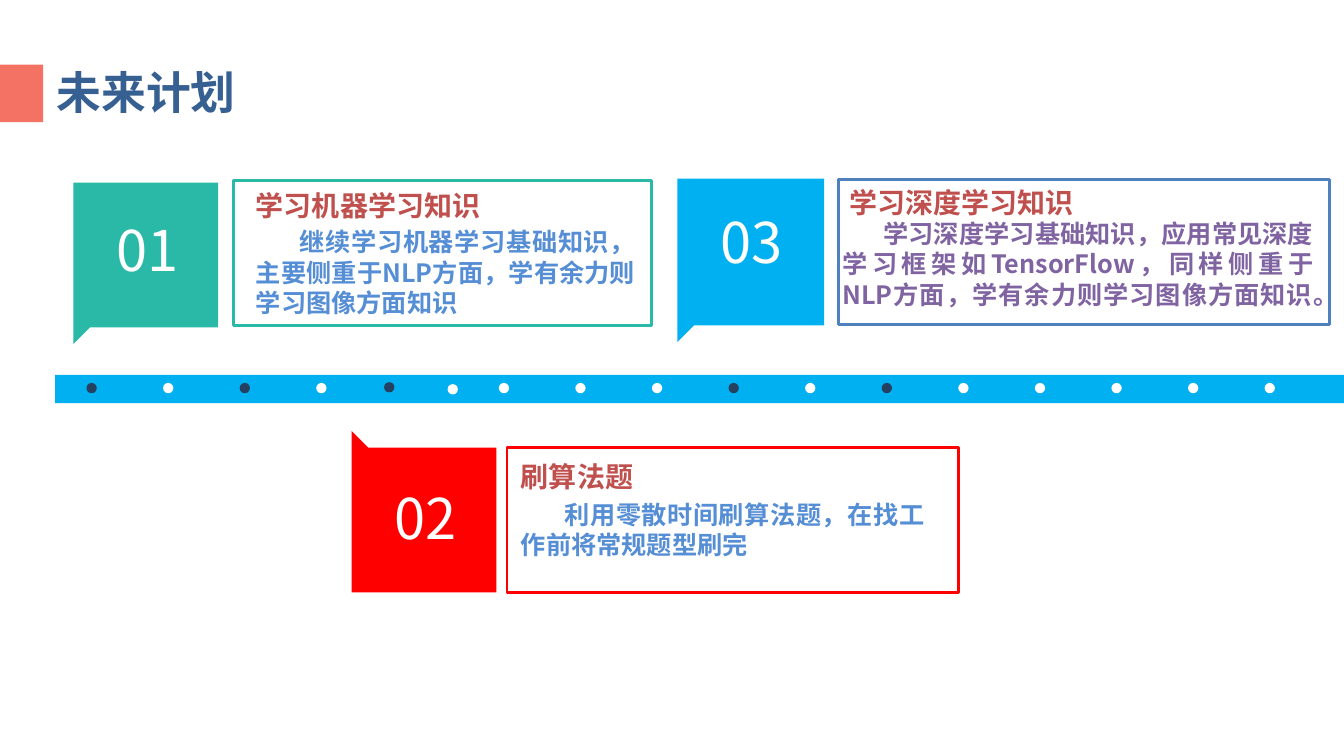
from dataclasses import dataclass

from lxml.etree import SubElement
from pptx import Presentation
from pptx.dml.color import RGBColor
from pptx.enum.shapes import MSO_SHAPE as Shape
from pptx.enum.text import MSO_ANCHOR as Anchor, PP_ALIGN as Align
from pptx.oxml.ns import qn
from pptx.shapes.autoshape import Shape as AutoShape
from pptx.shapes.shapetree import SlideShapes
from pptx.text.text import _Paragraph as Paragraph
from pptx.util import Cm, Pt

WHITE = RGBColor(0xFF, 0xFF, 0xFF)
NAVY = RGBColor(0x25, 0x40, 0x61)
TITLE_BLUE = RGBColor(0x37, 0x60, 0x92)
CORAL = RGBColor(0xF4, 0x72, 0x64)
SKY = RGBColor(0x00, 0xB0, 0xF0)
TEAL = RGBColor(0x29, 0xB9, 0xA6)
RED = RGBColor(0xFF, 0x00, 0x00)
FRAME_BLUE = RGBColor(0x4F, 0x81, 0xBD)
BRICK = RGBColor(0xC0, 0x50, 0x4D)
BODY_BLUE = RGBColor(0x55, 0x8E, 0xD5)
PURPLE = RGBColor(0x80, 0x64, 0xA2)

SC_FONT = "Noto Sans CJK SC"
JP_FONT = "Noto Sans CJK JP"
TAIL = 0.42
DOT = 0.26
DOT_TOP = 9.65
DOT_PITCH = 1.93


@dataclass(frozen=True)
class Box:
    x: float
    y: float
    w: float
    h: float

    def emu(self) -> tuple[Cm, Cm, Cm, Cm]:
        return Cm(self.x), Cm(self.y), Cm(self.w), Cm(self.h)


@dataclass(frozen=True)
class Card:
    number: str
    block: Box
    tail_up: bool
    number_top: float
    fill: RGBColor
    frame: Box
    outline: RGBColor
    heading: str
    heading_box: Box
    body: str
    body_box: Box
    body_color: RGBColor
    indent: float


@dataclass(frozen=True)
class DotRow:
    start: float
    count: int
    dark: tuple[int, ...] = ()
    top: float = DOT_TOP


CARDS = [
    Card("01", Box(1.85, 4.6, 3.65, 3.65), False, 5.44, TEAL,
         Box(5.89, 4.55, 10.54, 3.66), TEAL,
         "学习机器学习知识", Box(6.2, 4.62, 9.45, 1.12),
         "继续学习机器学习基础知识，主要侧重于NLP方面，学有余力则学习图像方面知识",
         Box(6.2, 5.59, 10.06, 2.57), BODY_BLUE, 1.1),
    Card("03", Box(17.07, 4.5, 3.7, 3.7), False, 5.23, SKY,
         Box(21.13, 4.52, 12.37, 3.66), FRAME_BLUE,
         "学习深度学习知识", Box(21.16, 4.55, 8.94, 1.12),
         "学习深度学习基础知识，应用常见深度学习框架如TensorFlow，"
         "同样侧重于NLP方面，学有余力则学习图像方面知识。",
         Box(20.98, 5.38, 12.37, 2.57), PURPLE, 1.03),
    Card("02", Box(8.86, 11.28, 3.65, 3.65), True, 12.19, RED,
         Box(12.78, 11.28, 11.38, 3.66), RED,
         "刷算法题", Box(12.88, 11.46, 8.23, 1.12),
         "利用零散时间刷算法题，在找工作前将常规题型刷完",
         Box(12.88, 12.45, 10.67, 1.8), BODY_BLUE, 1.1),
]

DOT_ROWS = [
    DotRow(2.18, 4, (0, 2)),
    DotRow(9.68, 1, (0,), 9.63),
    DotRow(11.28, 1, (), 9.68),
    DotRow(12.57, 11, (3, 5)),
]


def paint(sp: AutoShape, fill: RGBColor) -> None:
    sp.shadow.inherit = False
    sp.fill.solid()
    sp.fill.fore_color.rgb = fill
    sp.line.fill.background()


def add_shape(shapes: SlideShapes, kind: Shape, box: Box, fill: RGBColor) -> AutoShape:
    sp = shapes.add_shape(kind, *box.emu())
    paint(sp, fill)
    return sp


def add_text(shapes: SlideShapes, box: Box, text: str, size: int, color: RGBColor,
             font: str = SC_FONT, bold: bool = True, inset: bool = True) -> Paragraph:
    tf = shapes.add_textbox(*box.emu()).text_frame
    tf.word_wrap = True
    if not inset:
        tf.margin_left = tf.margin_right = tf.margin_top = tf.margin_bottom = 0
    p = tf.paragraphs[0]
    p.text = text
    p.font.size = Pt(size)
    p.font.bold = bold
    p.font.color.rgb = color
    p.font.name = font
    SubElement(p.font._element, qn("a:ea"), typeface=font)
    return p


def add_block(shapes: SlideShapes, card: Card) -> None:
    b = card.block
    near, far = (b.y + b.h, b.y) if card.tail_up else (b.y, b.y + b.h)
    tip = far - TAIL if card.tail_up else far + TAIL
    points = [(b.x + b.w, near), (b.x + b.w, far), (b.x + TAIL, far), (b.x, tip)]
    builder = shapes.build_freeform(Cm(b.x), Cm(near))
    builder.add_line_segments([(Cm(x), Cm(y)) for x, y in points], close=True)
    paint(builder.convert_to_shape(), card.fill)


def add_card(shapes: SlideShapes, card: Card) -> None:
    add_block(shapes, card)
    number_box = Box(card.block.x + 1.09, card.number_top, 2.5, 1.7)
    add_text(shapes, number_box, card.number, 40, WHITE, JP_FONT, bold=False, inset=False)
    frame = add_shape(shapes, Shape.RECTANGLE, card.frame, WHITE)
    frame.line.color.rgb = card.outline
    frame.line.width = Pt(2)
    add_text(shapes, card.heading_box, card.heading, 20, BRICK)
    p = add_text(shapes, card.body_box, card.body, 18, card.body_color)
    p.alignment = Align.JUSTIFY
    p._p.get_or_add_pPr().set("indent", str(Cm(card.indent)))


def add_timeline(shapes: SlideShapes) -> None:
    add_shape(shapes, Shape.RECTANGLE, Box(1.39, 9.45, 32.48, 0.71), SKY)
    for row in DOT_ROWS:
        for i in range(row.count):
            box = Box(row.start + i * DOT_PITCH, row.top, DOT, DOT)
            add_shape(shapes, Shape.OVAL, box, NAVY if i in row.dark else WHITE)


def add_title(shapes: SlideShapes) -> None:
    add_shape(shapes, Shape.RECTANGLE, Box(0, 1.63, 1.09, 1.45), CORAL)
    p = add_text(shapes, Box(1.4, 1.63, 4.57, 1.37), "未来计划", 32, TITLE_BLUE, inset=False)
    p.alignment = Align.CENTER
    tf = p._parent
    tf.word_wrap = False
    tf.vertical_anchor = Anchor.MIDDLE


def main() -> None:
    prs = Presentation()
    prs.slide_width, prs.slide_height = Cm(33.87), Cm(19.05)
    s = prs.slides.add_slide(prs.slide_layouts[6])
    add_timeline(s.shapes)
    for card in CARDS:
        add_card(s.shapes, card)
    add_title(s.shapes)
    prs.save("out.pptx")


if __name__ == "__main__":
    main()
